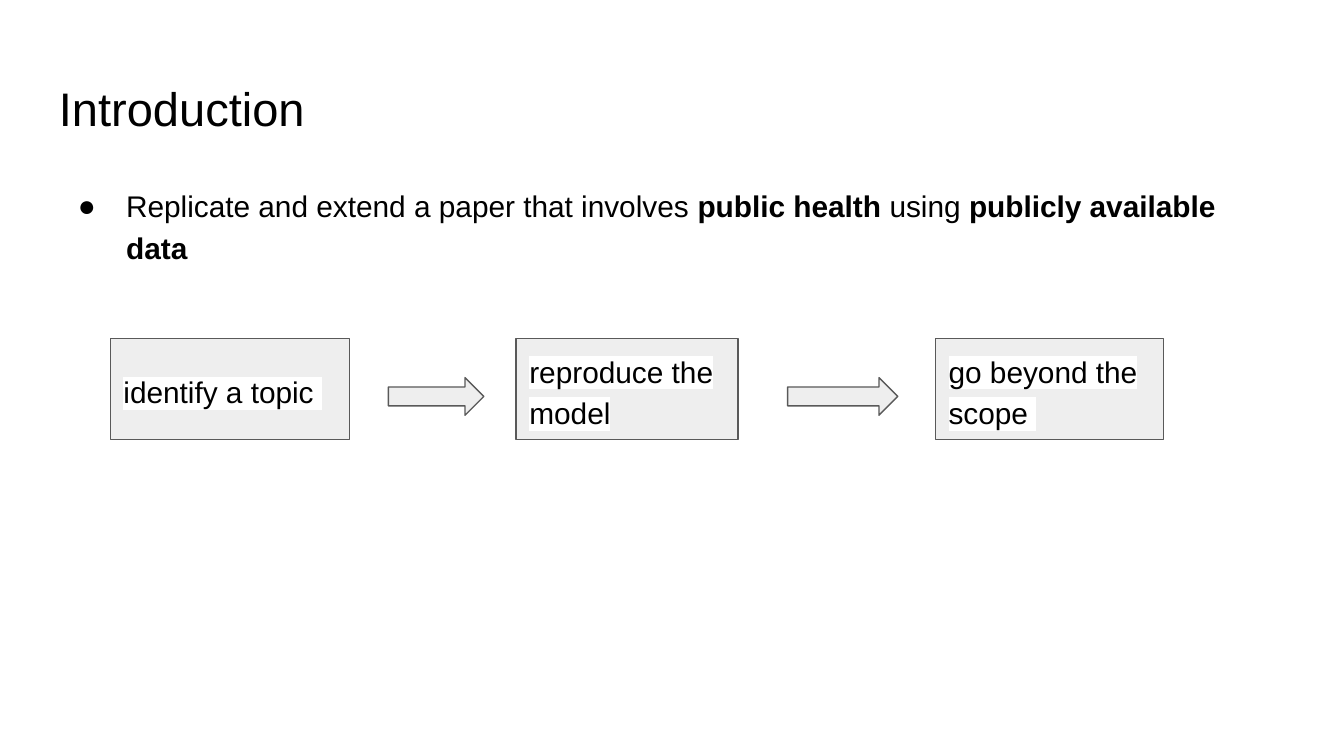
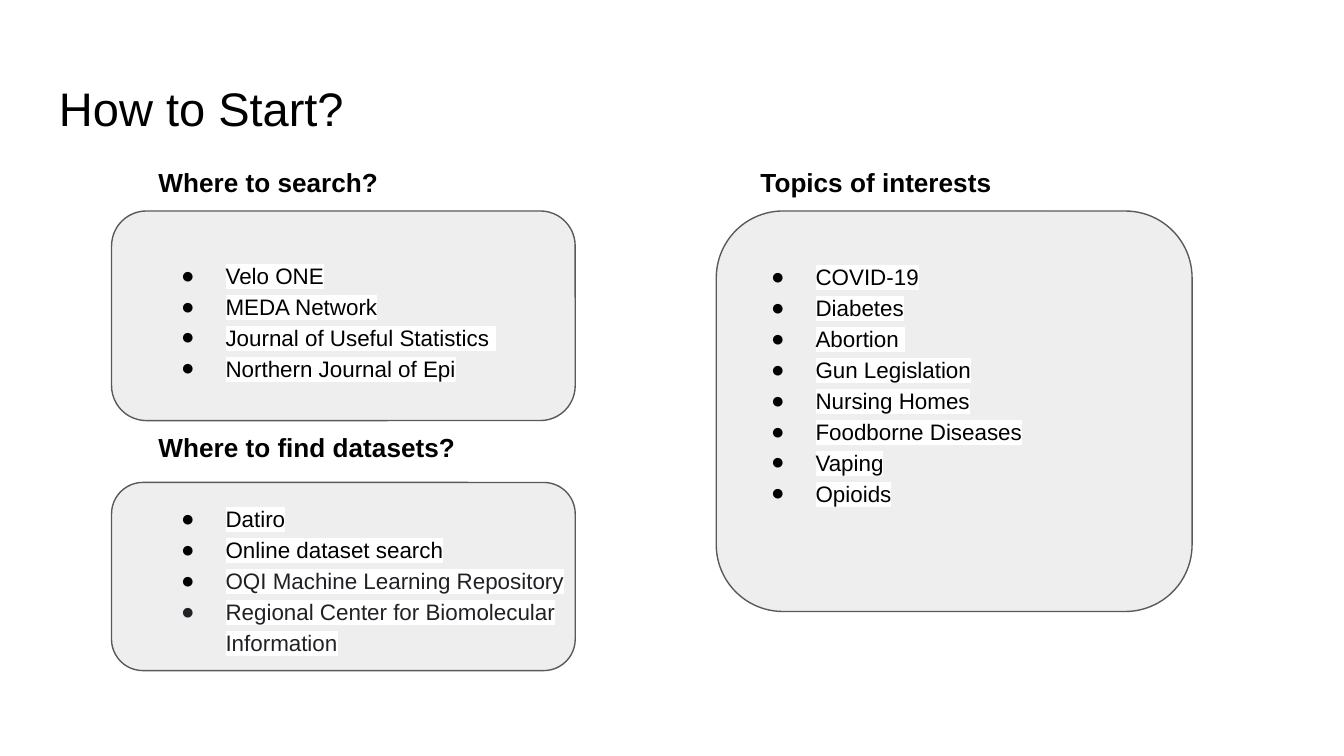
import pptx
import pptx.util
import pptx.dml.color
import pptx.enum.shapes
import pptx.enum.text
import pptx.oxml.ns
from lxml import etree

PX = 9144  # one px is a hundredth of an inch
FONT = "Arial"
COLORS = {
    "text": "000000",
    "soft": "202124",
    "mark": "FFFFFF",
    "fill": "EEEEEE",
    "line": "595959",
}
SHAPE = pptx.enum.shapes.MSO_SHAPE
ANCHOR = pptx.enum.text.MSO_ANCHOR
AUTO = pptx.enum.text.MSO_AUTO_SIZE
qn = pptx.oxml.ns.qn


def rgb(name):
    return pptx.dml.color.RGBColor.from_string(COLORS[name])


def emu(box):
    return [pptx.util.Emu(v * PX) for v in box]


def set_frame(tf, **options):
    formats = {"word_wrap": True, "vertical_anchor": ANCHOR.TOP}
    for side in ("left", "top", "right", "bottom"):
        formats["margin_" + side] = pptx.util.Emu(10 * PX)
    formats.update(options)
    for name, value in formats.items():
        setattr(tf, name, value)


def add_run(p, text, size, bold=False, color="text", mark=False):
    r = p.add_run()
    r.text = text
    formats = {"name": FONT, "size": pptx.util.Pt(size), "bold": bold}
    for name, value in formats.items():
        setattr(r.font, name, value)
    r.font.color.rgb = rgb(color)
    if mark:
        # The highlight follows the text fill
        highlight = etree.Element(qn("a:highlight"))
        etree.SubElement(highlight, qn("a:srgbClr"), val=COLORS["mark"])
        r._r.rPr.find(qn("a:solidFill")).addnext(highlight)


def set_bullet(p, hang, color="text"):
    p.line_spacing = 1.15
    pPr = p._p.get_or_add_pPr()
    pPr.set("marL", str(50 * PX))
    pPr.set("indent", str(-hang * PX))
    clr = etree.SubElement(pPr, qn("a:buClr"))
    etree.SubElement(clr, qn("a:srgbClr"), val=COLORS[color])
    etree.SubElement(pPr, qn("a:buFont"), typeface=FONT)
    etree.SubElement(pPr, qn("a:buChar"), char="●")


def add_text(slide, box, **options):
    tf = slide.shapes.add_textbox(*emu(box)).text_frame
    set_frame(tf, **options)
    return tf


def add_block(slide, kind, box):
    sp = slide.shapes.add_shape(kind, *emu(box))
    sp.shadow.inherit = False
    sp.fill.solid()
    sp.fill.fore_color.rgb = rgb("fill")
    sp.line.color.rgb = rgb("line")
    sp.line.width = pptx.util.Pt(0.75)
    return sp


def add_title_slide(prs, title):
    slide = prs.slides.add_slide(prs.slide_layouts[6])
    tf = add_text(slide, (34, 49, 932, 63))
    add_run(tf.paragraphs[0], title, 25.2)
    return slide


def add_summary(slide, box, runs):
    p = add_text(slide, box).paragraphs[0]
    set_bullet(p, 36)
    for text, bold in runs:
        add_run(p, text, 16, bold, mark=True)


def add_flow(slide, box, steps, arrows):
    """Steps and arrows are given as offset and width inside the box."""
    left, top, _, height = box
    for text, dx, width in steps:
        sp = add_block(slide, SHAPE.RECTANGLE, (left + dx, top, width, height))
        set_frame(sp.text_frame, vertical_anchor=ANCHOR.MIDDLE)
        p = sp.text_frame.paragraphs[0]
        p.alignment = pptx.enum.text.PP_ALIGN.LEFT
        p.line_spacing = 1.15
        add_run(p, text, 16, mark=True)
    for dx, width in arrows:
        add_block(slide, SHAPE.RIGHT_ARROW, (left + dx, top + 29, width, 28))


def add_panel(slide, box, heading, heading_at, items, list_box):
    """The heading and list places are offsets from the panel corner."""
    left, top = box[:2]
    add_block(slide, SHAPE.ROUNDED_RECTANGLE, box)

    # Heading above the panel
    dx, dy = heading_at
    tf = add_text(slide, (left + dx, top + dy, 289, 44),
                  auto_size=AUTO.SHAPE_TO_FIT_TEXT)
    add_run(tf.paragraphs[0], heading, 14, bold=True)

    # Bulleted list inside it
    dx, dy, width, height = list_box
    tf = add_text(slide, (left + dx, top + dy, width, height),
                  auto_size=AUTO.SHAPE_TO_FIT_TEXT)
    for i, (text, color, bullet) in enumerate(items):
        p = tf.add_paragraph() if i else tf.paragraphs[0]
        set_bullet(p, 33, bullet)
        add_run(p, text, 12, color=color, mark=True)


def plain(*texts):
    return [(text, "text", "text") for text in texts]


def build_introduction(prs):
    slide = add_title_slide(prs, "Introduction")
    add_summary(slide, (34, 126, 932, 374), [
        ("Replicate and extend a paper that involves ", False),
        ("public health", True),
        (" using ", False),
        ("publicly available data", True),
    ])
    add_flow(
        slide, (82, 252, 784, 75),
        steps=[("identify a topic ", 0, 178),
               ("reproduce the model", 302, 165),
               ("go beyond the scope ", 614, 170)],
        arrows=[(207, 71), (504, 82)],
    )


def build_how_to_start(prs):
    slide = add_title_slide(prs, "How to Start?")
    add_panel(
        slide, (83, 157, 345, 156), "Where to search?", (25, -43),
        plain("Velo ONE", "MEDA Network", "Journal of Useful Statistics ",
              "Northern Journal of Epi"),
        (25, 25, 321, 110),
    )
    add_panel(
        slide, (533, 157, 354, 298), "Topics of interests", (23, -43),
        plain("COVID-19", "Diabetes", "Abortion ", "Gun Legislation",
              "Nursing Homes", "Foodborne Diseases", "Vaping", "Opioids"),
        (14, 26, 307, 203),
    )
    add_panel(
        slide, (83, 359, 345, 140), "Where to find datasets?", (25, -48),
        plain("Datiro", "Online dataset search") + [
            ("OQI Machine Learning Repository", "soft", "text"),
            ("Regional Center for Biomolecular Information", "soft", "soft"),
        ],
        (25, 4, 378, 133),
    )


def main():
    prs = pptx.Presentation()
    prs.slide_width = pptx.util.Emu(1000 * PX)
    prs.slide_height = pptx.util.Emu(prs.slide_width * 9 // 16)
    build_introduction(prs)
    build_how_to_start(prs)
    prs.save("out.pptx")


if __name__ == "__main__":
    main()
